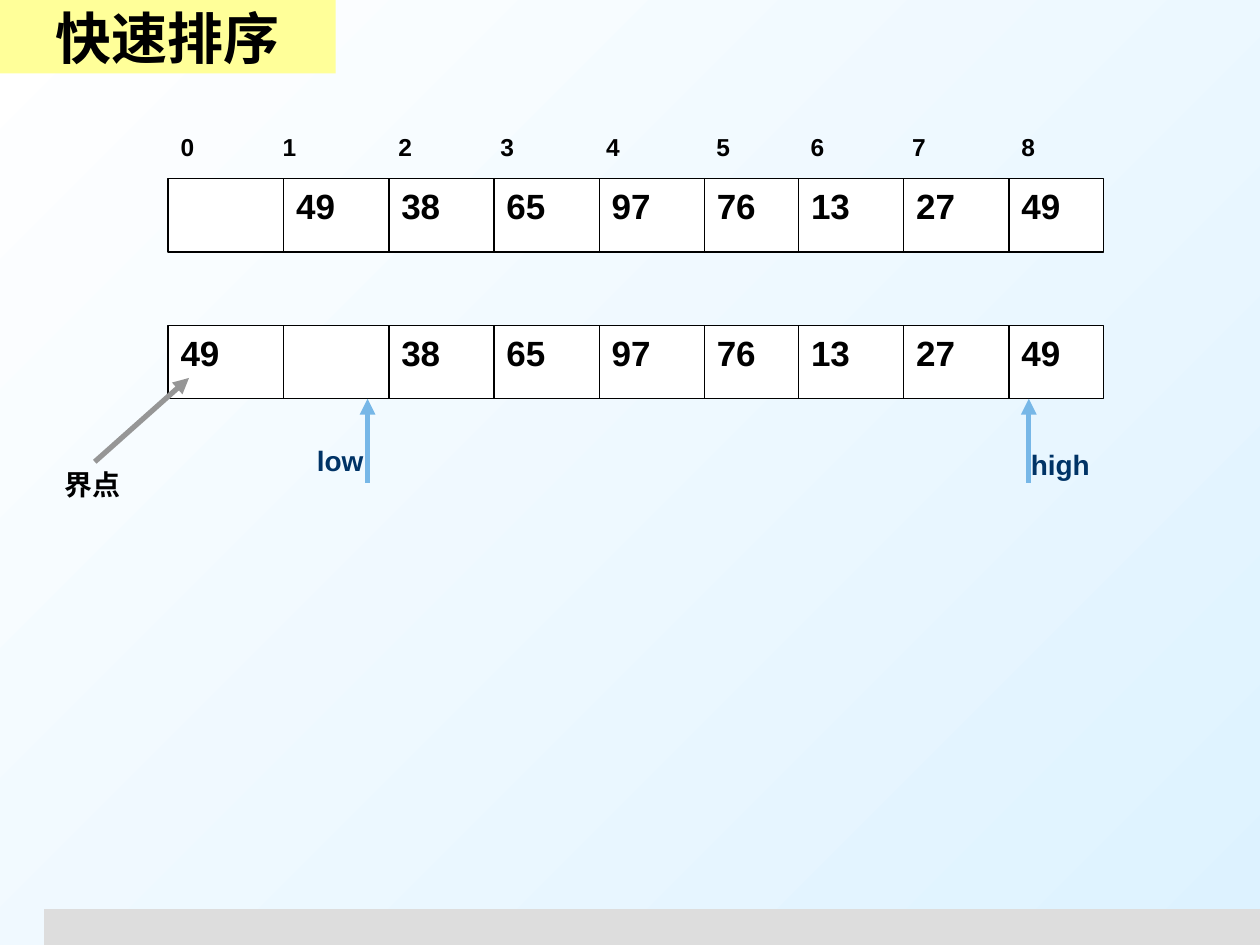
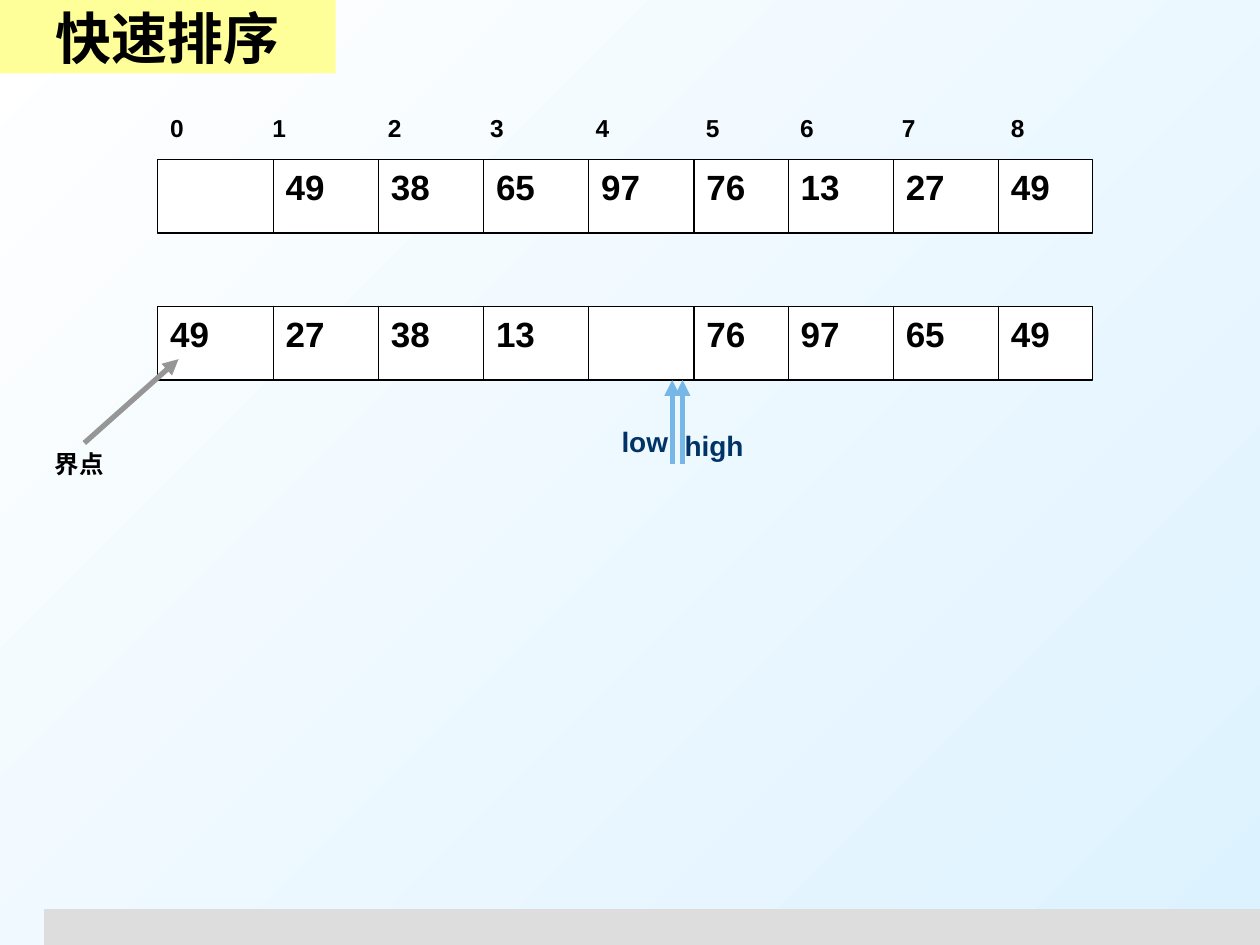
from itertools import accumulate

from lxml import etree
from pptx import Presentation
from pptx import util as u
from pptx.dml.color import RGBColor
from pptx.enum import shapes, text
from pptx.oxml.ns import qn

WHITE, BLACK, NAVY = "FFFFFF", "000000", "003366"
SKY, GREY = "77B7E7", "969696"
TITLE_FILL, FOOTER_FILL, BACK_END = "FFFF99", "DDDDDD", "DDF2FF"

# Array geometry in centimetres, measured from the array's left edge
CELL_WIDTHS = [2.33, 2.12, 2.12, 2.12, 2.12, 1.9, 2.12, 2.12, 1.9]
EDGES = list(accumulate(CELL_WIDTHS, initial=0))
INDEX_TABS = [2.06, 4.39, 6.45, 8.58, 10.8, 12.7, 14.75, 16.95]
ROW_HEIGHT = 1.48
INPUT = [None, 49, 38, 65, 97, 76, 13, 27, 49]


def color(code):
    return RGBColor.from_string(code)


def apply(target, values):
    for name, value in values.items():
        setattr(target, name, value)


class SortDeck:
    """Holds the shared style and the slide being drawn."""

    def __init__(self):
        self.deck = Presentation()
        apply(self.deck, {"slide_width": u.Cm(25.4), "slide_height": u.Cm(19.05)})
        fill = self.deck.slide_master.background.fill
        fill.gradient()
        fill.gradient_angle = 315
        for stop, code in zip(fill.gradient_stops, (WHITE, BACK_END)):
            stop.color.rgb = color(code)

    def new_page(self):
        self.page = self.deck.slides.add_slide(self.deck.slide_layouts[6])
        self.rect(0.89, 18.33, 24.51, 0.72, FOOTER_FILL)

    def rect(self, left, top, width, height, fill, outline=None):
        box = self.page.shapes.add_shape(
            shapes.MSO_SHAPE.RECTANGLE, *map(u.Cm, (left, top, width, height)))
        box.shadow.inherit = False
        box.fill.solid()
        box.fill.fore_color.rgb = color(fill)
        if outline:
            box.line.color.rgb = color(outline)
            box.line.width = u.Pt(0.75)
        else:
            box.line.fill.background()
        return box

    def line(self, start, end, code=BLACK, width=0.75, arrow=False):
        link = self.page.shapes.add_connector(
            shapes.MSO_CONNECTOR.STRAIGHT, *map(u.Cm, (*start, *end)))
        link.line.color.rgb = color(code)
        link.line.width = u.Pt(width)
        properties = link._element.spPr
        if arrow:
            etree.SubElement(properties.find(qn("a:ln")), qn("a:tailEnd"), type="triangle")
        etree.SubElement(properties, qn("a:effectLst"))

    def fill_text(self, box, words, size, code=BLACK, tabs=()):
        para = box.text_frame.paragraphs[0]
        if tabs:
            tab_list = etree.SubElement(para._p.get_or_add_pPr(), qn("a:tabLst"))
            for stop in tabs:
                etree.SubElement(tab_list, qn("a:tab"), pos=str(u.Cm(stop)), algn="l")
        span = para.add_run()
        span.text = words
        apply(span.font, {"name": "Arial", "size": u.Pt(size), "bold": True})
        span.font.color.rgb = color(code)
        return para

    def label(self, words, left, top, width, height, size, code=BLACK, tabs=()):
        box = self.page.shapes.add_textbox(*map(u.Cm, (left, top, width, height)))
        apply(box.text_frame, {"word_wrap": True,
                               "auto_size": text.MSO_AUTO_SIZE.SHAPE_TO_FIT_TEXT})
        self.fill_text(box, words, size, code, tabs)

    def title(self, words):
        box = self.rect(0, 0, 6.77, 1.48, TITLE_FILL)
        box.text_frame.vertical_anchor = text.MSO_ANCHOR.MIDDLE
        self.fill_text(box, words, 32).alignment = text.PP_ALIGN.CENTER

    def array_row(self, left, top, values):
        self.rect(left, top, EDGES[-1], ROW_HEIGHT, WHITE, BLACK)
        for edge in EDGES[1:-1]:
            self.line((left + edge, top), (left + edge, top + ROW_HEIGHT))
        for edge, value in zip(EDGES, values):
            if value is not None:
                self.label(str(value), left + edge, top, 1.69, 1.1, 20)

    def pointer(self, name, x, top, shift, drop):
        self.line((x, top + 1.69), (x, top), SKY, 3, arrow=True)
        self.label(name, x + shift, top + drop, 2.33, 0.93, 16, NAVY)

    def sort_step(self, left, top, values, low, high, pivot_size):
        self.new_page()
        # Index numbers and the two array rows
        indexes = "\t".join(map(str, range(len(INPUT))))
        self.label(indexes, left, top - 1.06, EDGES[-1], 0.85, 14, tabs=INDEX_TABS)
        self.array_row(left, top, INPUT)
        self.array_row(left, top + 2 * ROW_HEIGHT, values)
        # Pointers below the working row
        bottom = top + 3 * ROW_HEIGHT
        self.pointer("high", left + high, bottom, -0.21, 0.85)
        self.pointer("low", left + low, bottom, -1.27, 0.78)
        # Pivot
        self.label("界点", left - 2.33, bottom + 1.27, 2.12, 0.9, pivot_size)
        self.line((left - 1.48, bottom + 1.27), (left + 0.42, bottom - 0.42),
                  GREY, 3, arrow=True)
        self.title("快速排序")


def main():
    show = SortDeck()
    # Pivot copied to cell 0
    show.sort_step(3.39, 3.6, [49, None, 38, 65, 97, 76, 13, 27, 49],
                   low=4.02, high=17.35, pivot_size=16)
    # Pointers meet
    show.sort_step(3.18, 3.22, [49, 27, 38, 13, None, 76, 97, 65, 49],
                   low=10.37, high=10.58, pivot_size=14)
    show.deck.save("out.pptx")


if __name__ == "__main__":
    main()
